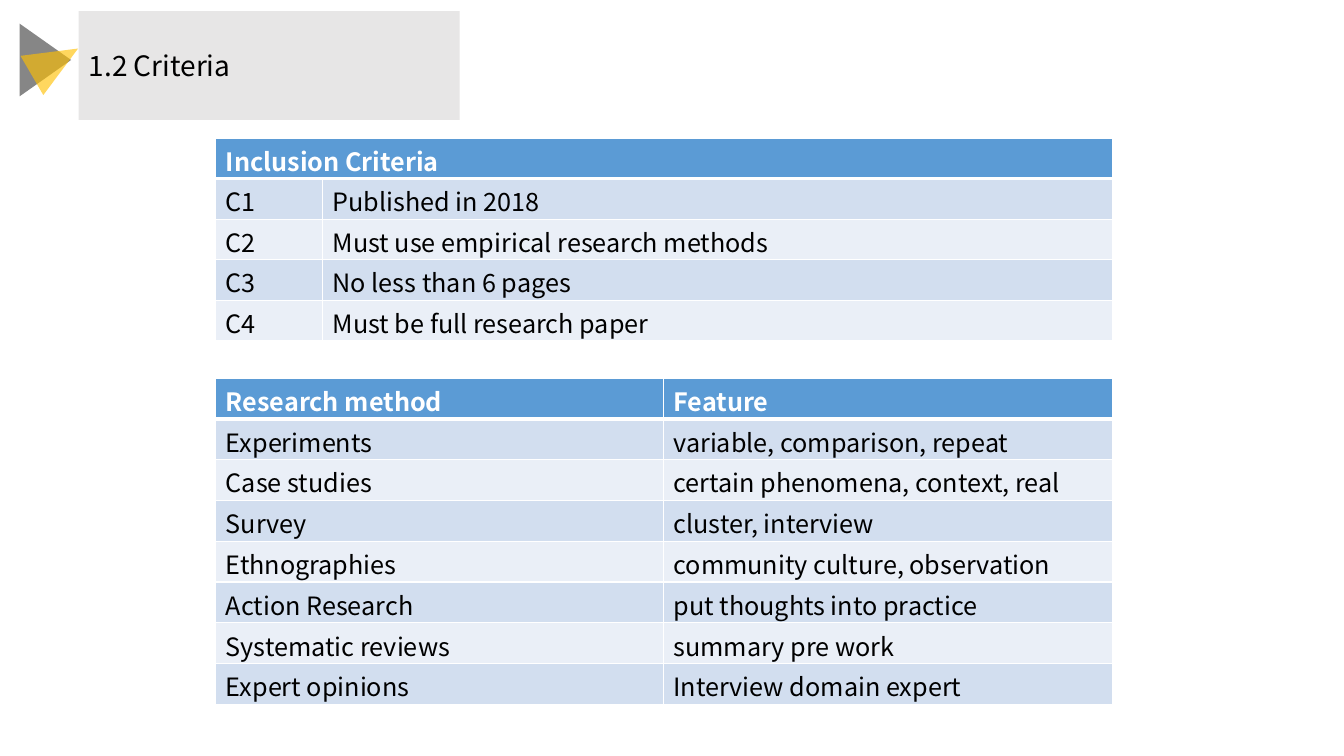
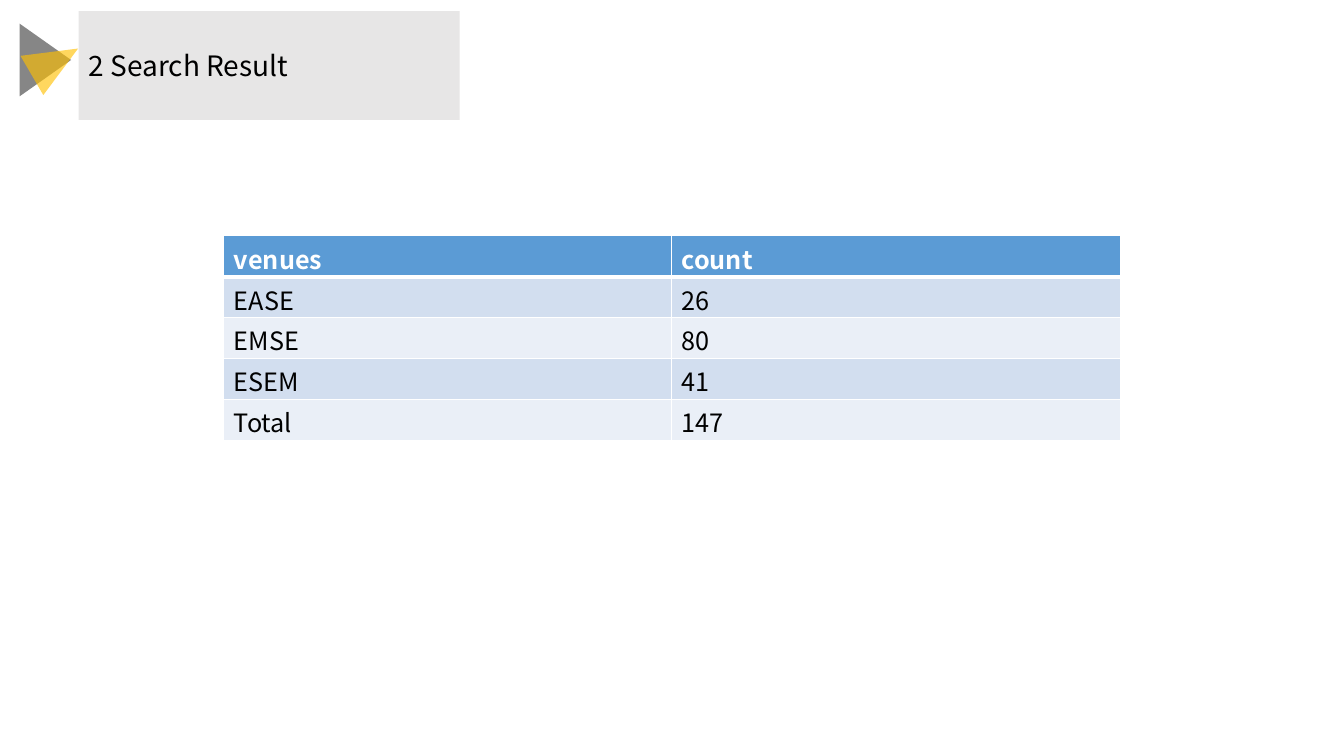
from dataclasses import dataclass

from lxml import etree
from pptx import Presentation
from pptx.dml.color import RGBColor
from pptx.enum.shapes import MSO_SHAPE
from pptx.enum.text import MSO_ANCHOR, MSO_AUTO_SIZE, PP_ALIGN
from pptx.oxml.ns import qn
from pptx.util import Inches, Pt

TRIANGLE = MSO_SHAPE.ISOSCELES_TRIANGLE
LEFT, TOP, MIDDLE = PP_ALIGN.LEFT, MSO_ANCHOR.TOP, MSO_ANCHOR.MIDDLE
NO_AUTOFIT = MSO_AUTO_SIZE.NONE
TITLE_ONLY = 5


@dataclass(frozen=True)
class Theme:
    font: str = "Noto Sans CJK SC"
    text: str = "000000"
    white: str = "FFFFFF"
    panel: str = "E7E6E6"
    gray: str = "404040"
    gold: str = "FFC000"
    header: str = "5B9BD5"
    bands: tuple = ("D2DEEF", "EAEFF7")
    title_size: int = 20
    table_size: int = 18
    thin: int = 1
    thick: int = 3
    mark_alpha: int = 63


def rgb(value):
    return RGBColor.from_string(value)


def set_all(target, values):
    for name, value in values.items():
        setattr(target, name, value)


class Deck:
    def __init__(self, theme):
        self.theme = theme
        self.prs = Presentation()
        self.prs.slide_width, self.prs.slide_height = Inches(13.33), Inches(7.5)
        self.slide = None

    def add_slide(self, title):
        self.slide = self.prs.slides.add_slide(self.prs.slide_layouts[TITLE_ONLY])
        self.triangle((0.09, 0.34, 0.72, 0.51), 90, self.theme.gray)
        self.triangle((0.32, 0.35, 0.45, 0.53), 59.8, self.theme.gold)
        self.title(title)

    def add_text(self, tf, text, size, color, bold=False):
        p = tf.paragraphs[0]
        p.alignment = LEFT
        r = p.add_run()
        r.text = text
        set_all(r.font, {"name": self.theme.font, "size": Pt(size), "bold": bold})
        r.font.color.rgb = rgb(color)

    def title(self, text):
        sp = self.slide.shapes.title
        set_all(sp, {"left": Inches(0.78), "top": Inches(0.11),
                     "width": Inches(3.78), "height": Inches(1.08)})
        sp.fill.solid()
        sp.fill.fore_color.rgb = rgb(self.theme.panel)
        tf = sp.text_frame
        set_all(tf, {"word_wrap": True, "auto_size": NO_AUTOFIT,
                     "vertical_anchor": MIDDLE})
        self.add_text(tf, text, self.theme.title_size, self.theme.text)

    def triangle(self, box, rotation, color):
        sp = self.slide.shapes.add_shape(TRIANGLE, *map(Inches, box))
        sp.rotation = rotation
        sp.shadow.inherit = False
        sp.line.fill.background()
        sp.fill.solid()
        sp.fill.fore_color.rgb = rgb(color)
        clr = sp.element.spPr.find(qn("a:solidFill"))[0]
        etree.SubElement(clr, qn("a:alpha"), val=str(self.theme.mark_alpha * 1000))

    def borders(self, cell, top, bottom):
        tc_pr = cell._tc.get_or_add_tcPr()
        thin = self.theme.thin
        for side, width in (("L", thin), ("R", thin), ("T", top), ("B", bottom)):
            ln = etree.SubElement(tc_pr, qn(f"a:ln{side}"), w=str(Pt(width)))
            fill = etree.SubElement(ln, qn("a:solidFill"))
            etree.SubElement(fill, qn("a:srgbClr"), val=self.theme.white)

    def table(self, box, first_col, rows):
        """Draw a two-column banded table; a single header spans both columns."""
        th = self.theme
        width, height = box[2:]
        table = self.slide.shapes.add_table(len(rows), 2, *map(Inches, box)).table
        table.columns[0].width = Inches(first_col)
        table.columns[1].width = Inches(width - first_col)
        for i, texts in enumerate(rows):
            is_header = i == 0
            table.rows[i].height = Inches(height / len(rows))
            for cell in table.rows[i].cells:
                self.borders(cell, th.thick if i == 1 else th.thin,
                             th.thick if is_header else th.thin)
                cell.fill.solid()
                cell.fill.fore_color.rgb = rgb(
                    th.header if is_header else th.bands[(i - 1) % 2])
                set_all(cell, {"margin_top": Inches(0.04), "margin_bottom": 0,
                               "vertical_anchor": TOP})
            if len(texts) == 1:
                table.cell(i, 0).merge(table.cell(i, 1))
            for j, text in enumerate(texts):
                self.add_text(table.cell(i, j).text_frame, text, th.table_size,
                              th.white if is_header else th.text, is_header)


INCLUSION = [
    ("Inclusion Criteria",),
    ("C1", "Published in 2018"),
    ("C2", "Must use empirical research methods"),
    ("C3", "No less than 6 pages"),
    ("C4", "Must be full research paper"),
]
METHODS = [
    ("Research method", "Feature"),
    ("Experiments", "variable, comparison, repeat"),
    ("Case studies", "certain phenomena, context, real"),
    ("Survey", "cluster, interview"),
    ("Ethnographies", "community culture, observation"),
    ("Action Research", "put thoughts into practice"),
    ("Systematic reviews", "summary pre work"),
    ("Expert opinions", "Interview domain expert"),
]
VENUES = [
    ("venues", "count"),
    ("EASE", "26"),
    ("EMSE", "80"),
    ("ESEM", "41"),
    ("Total", "147"),
]


def main():
    deck = Deck(Theme())

    # Criteria
    deck.add_slide("1.2 Criteria")
    deck.table((2.14, 1.37, 8.89, 2), 1.06, INCLUSION)
    deck.table((2.14, 3.75, 8.89, 3.24), 4.44, METHODS)

    # Search result
    deck.add_slide("2 Search Result")
    deck.table((2.22, 2.34, 8.89, 2.03), 4.44, VENUES)

    deck.prs.save("out.pptx")


if __name__ == "__main__":
    main()
